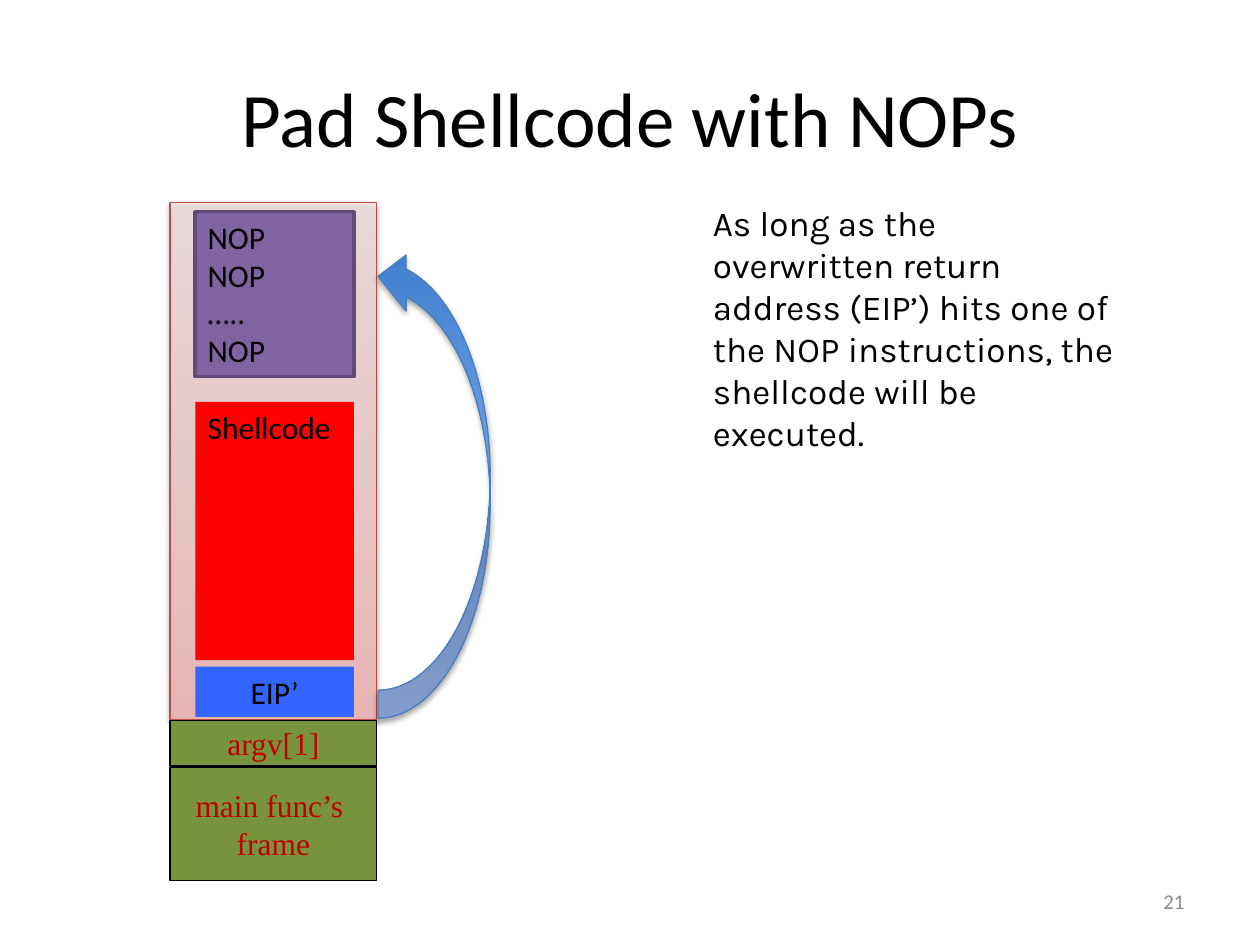
import dataclasses
import typing

import pptx
import pptx.dml.color
import pptx.enum.shapes
import pptx.enum.text
import pptx.oxml
import pptx.oxml.ns
import pptx.util

SCALE = 9144
KIND = pptx.enum.shapes.MSO_SHAPE
ALIGN = pptx.enum.text.PP_ALIGN
ANCHOR = pptx.enum.text.MSO_ANCHOR
SERIF = {"font": "Times New Roman", "color": "C00000", "align": ALIGN.CENTER,
         "anchor": ANCHOR.MIDDLE, "wrap": False}


@dataclasses.dataclass
class Block:
    area: tuple[int, int, int, int]
    fill: str = ""
    line: str = ""
    width: float = 0.75
    text: str = ""
    style: dict = dataclasses.field(default_factory=dict)
    kind: typing.Any = KIND.RECTANGLE
    stops: tuple = ()
    alpha: int = 100
    shade: int = 0
    drop: float = 0
    flip: bool = False


BLOCKS = [
    Block((135, 161, 164, 410), line="BF4C48", alpha=56, shade=38, drop=1.6,
          stops=((0, "FFA6A5"), (35, "FFC0BF"), (100, "FFE7E7"))),
    Block((155, 529, 126, 40), "3366FF", text="EIP’", style={"align": ALIGN.CENTER}),
    Block((155, 319, 126, 205), "FF0000", text="Shellcode"),
    Block((155, 168, 126, 131), "8064A2", "5F4A78", 2, "NOP\nNOP\n…..\nNOP"),
    Block((300, 197, 89, 373), line="4B7EBC", kind=KIND.CURVED_LEFT_ARROW,
          stops=((0, "3F80CE"), (100, "A4C4FF")), shade=35, drop=1.8, flip=True),
    Block((135, 609, 164, 90), "77933C", "000000", text="main func’s \nframe", style=SERIF),
    Block((135, 572, 164, 36), "77933C", "000000", text="argv[1]", style=SERIF),
]


def paint(value: str) -> pptx.dml.color.RGBColor:
    return pptx.dml.color.RGBColor.from_string(value)


def scale(area: tuple) -> list[int]:
    return [pptx.util.Emu(size * SCALE) for size in area]


def write(shape, text: str, *, size=18, font="Calibri", color="000000",
          align=ALIGN.LEFT, anchor=ANCHOR.TOP, wrap=True) -> None:
    frame = shape.text_frame
    frame.text = text
    frame.word_wrap = wrap
    frame.auto_size = pptx.enum.text.MSO_AUTO_SIZE.NONE
    frame.vertical_anchor = anchor
    for para in frame.paragraphs:
        para.alignment = align
        for run in para.runs:
            run.font.size = pptx.util.Pt(size)
            run.font.name = font
            run.font.color.rgb = paint(color)


def blend(shape, stops: tuple, alpha: int) -> None:
    marks = "".join(
        f'<a:gs pos="{spot * 1000}"><a:srgbClr val="{color}">'
        f'<a:alpha val="{alpha * 1000}"/></a:srgbClr></a:gs>'
        for spot, color in stops)
    shape.element.spPr.append(pptx.oxml.parse_xml(
        f'<a:gradFill {pptx.oxml.ns.nsdecls("a")} rotWithShape="1"><a:gsLst>{marks}'
        '</a:gsLst><a:lin ang="16200000" scaled="0"/></a:gradFill>'))


def shadow(shape, shade: int, drop: float) -> None:
    glow = shape.element.spPr.find(pptx.oxml.ns.qn("a:effectLst"))
    glow.append(pptx.oxml.parse_xml(
        f'<a:outerShdw {pptx.oxml.ns.nsdecls("a")} blurRad="{pptx.util.Pt(3.1)}" '
        f'dist="{pptx.util.Pt(drop)}" dir="5400000" rotWithShape="0">'
        f'<a:srgbClr val="000000"><a:alpha val="{shade * 1000}"/></a:srgbClr>'
        '</a:outerShdw>'))


def draw(slide, block: Block) -> None:
    shape = slide.shapes.add_shape(block.kind, *scale(block.area))
    if block.stops:
        blend(shape, block.stops, block.alpha)
    else:
        shape.fill.solid()
        shape.fill.fore_color.rgb = paint(block.fill)
    if block.line:
        shape.line.color.rgb = paint(block.line)
        shape.line.width = pptx.util.Pt(block.width)
    else:
        shape.line.fill.background()
    shape.shadow.inherit = False
    if block.shade:
        shadow(shape, block.shade, block.drop)
    if block.flip:
        shape.rotation = 180
        shape.element.spPr.xfrm.set("flipH", "1")
    if block.text:
        write(shape, block.text, **block.style)


def label(slide, area: tuple, text: str, **style) -> None:
    write(slide.shapes.add_textbox(*scale(area)), text, **style)


def main() -> None:
    deck = pptx.Presentation()
    deck.slide_width, deck.slide_height = scale((1000, 750))
    slide = deck.slides.add_slide(deck.slide_layouts[5])
    title = slide.shapes.title
    title.left, title.top, title.width, title.height = scale((50, 30, 900, 125))
    write(title, "Pad Shellcode with NOPs", size=44, align=ALIGN.CENTER, anchor=ANCHOR.MIDDLE)
    for block in BLOCKS:
        draw(slide, block)
    label(slide, (717, 695, 233, 40), "21", size=12, color="8C8C8C",
          align=ALIGN.RIGHT, anchor=ANCHOR.MIDDLE)
    label(slide, (556, 155, 347, 246),
          "As long as the overwritten return address (EIP’) hits one of the NOP "
          "instructions, the shellcode will be executed.", size=20, font="Karla")
    deck.save("out.pptx")


if __name__ == "__main__":
    main()
